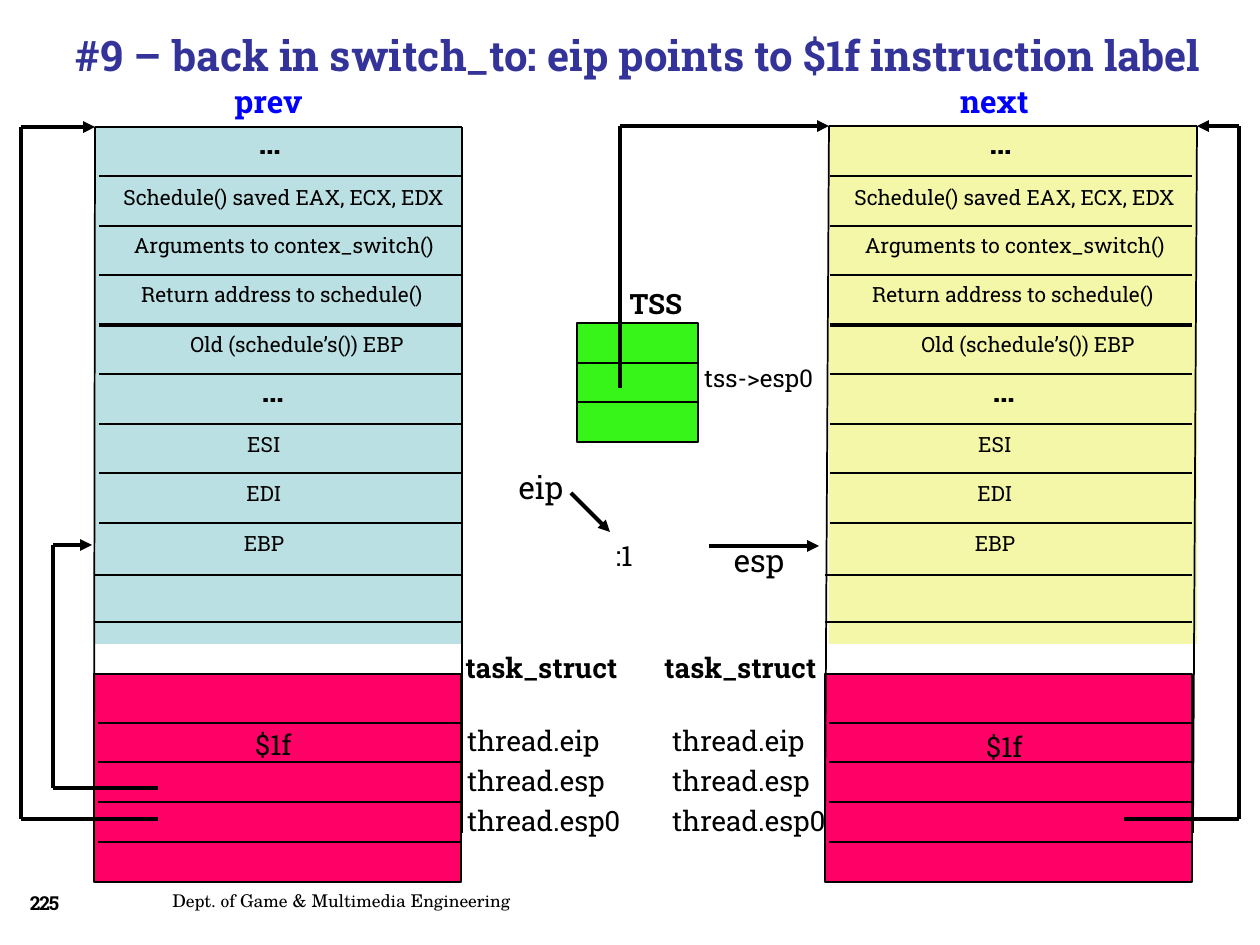
from dataclasses import dataclass

from lxml import etree
from pptx import Presentation
from pptx.dml.color import RGBColor
from pptx.enum import shapes, text
from pptx.oxml.ns import qn
from pptx.util import Emu, Pt

LEFT, CENTER, RIGHT = text.PP_ALIGN.LEFT, text.PP_ALIGN.CENTER, text.PP_ALIGN.RIGHT
EMU_PER_PX = 914400 / 126


@dataclass(frozen=True)
class Theme:
    font: str = "Roboto Slab"
    footer_font: str = "TeX Gyre Schola"
    ink: str = "000000"
    title: str = "333399"
    heading: str = "0000FF"
    prev: str = "BBE0E3"
    next: str = "F3F7A7"
    task: str = "FF0066"
    tss: str = "38F519"
    title_size: int = 24
    heading_size: int = 18
    label_size: int = 16
    note_size: int = 14
    row_size: int = 12
    number_size: int = 11
    footer_size: int = 10
    hairline: float = 0.75
    thin: float = 1
    thick: float = 2.25


THEME = Theme()


def px(value):
    return Emu(round(value * EMU_PER_PX))


def write(frame, words, size, color=THEME.ink, align=LEFT, font=THEME.font, bold=False):
    """Fill a text frame with one formatted paragraph."""
    frame.word_wrap = True
    para = frame.paragraphs[0]
    para.alignment = align
    span = para.add_run()
    span.text = words
    for name, value in {"name": font, "size": Pt(size), "bold": bold}.items():
        setattr(span.font, name, value)
    span.font.color.rgb = RGBColor.from_string(color)
    return span


def add_label(page, words, left, top, width, height, size, **style):
    box = page.shapes.add_textbox(px(left), px(top), px(width), px(height))
    write(box.text_frame, words, size, **style)
    return box


def add_block(page, left, top, width, height, fill, outlined=True):
    block = page.shapes.add_shape(shapes.MSO_SHAPE.RECTANGLE,
                                  px(left), px(top), px(width), px(height))
    block.shadow.inherit = False
    block.fill.solid()
    block.fill.fore_color.rgb = RGBColor.from_string(fill)
    if outlined:
        block.line.color.rgb = RGBColor.from_string(THEME.ink)
        block.line.width = Pt(THEME.hairline)
    else:
        block.line.fill.background()


def add_line(page, start, end, width=THEME.thin, arrow=False):
    line = page.shapes.add_connector(shapes.MSO_CONNECTOR.STRAIGHT,
                                     px(start[0]), px(start[1]), px(end[0]), px(end[1]))
    line.line.color.rgb = RGBColor.from_string(THEME.ink)
    line.line.width = Pt(width)
    if arrow:
        etree.SubElement(line.line._get_or_add_ln(), qn("a:tailEnd"), type="triangle")
    etree.SubElement(line._element.spPr, qn("a:effectLst"))


def add_route(page, *points):
    """Join the points with thick lines; the last one carries the arrowhead."""
    legs = list(zip(points, points[1:]))
    for number, (start, end) in enumerate(legs, 1):
        add_line(page, start, end, THEME.thick, arrow=number == len(legs))


def row_top(row):
    return 127 + row * 99 // 2


def add_stack(page, dx, heading, heading_left, panel, fill, value_top):
    """Draw one kernel stack with its task_struct, moved dx to the right."""
    add_label(page, heading, heading_left, 76, 159, 50, THEME.heading_size,
              color=THEME.heading, align=CENTER, bold=True)
    panel_left, panel_top, panel_width = panel
    add_block(page, panel_left, panel_top, panel_width, 644 - panel_top, fill, outlined=False)
    add_block(page, 94 + dx, 674, 367, 208, THEME.task)

    # Row rules: the frame boundary is thick
    for row in range(1, 9):
        add_line(page, (99 + dx, row_top(row)), (461 + dx, row_top(row)),
                 THEME.thick if row == 4 else THEME.thin)
    for y in (575, 622):
        add_line(page, (94 + dx, y), (461 + dx, y), THEME.hairline)
    for field in range(5):
        y = 723 + field * 159 // 4
        add_line(page, (98 + dx, y), (461 + dx, y))

    # Panel outline
    panel_right = panel_left + panel_width
    add_line(page, (panel_left, panel_top), (panel_right, panel_top))
    add_line(page, (panel_left, panel_top), (94 + dx, 833))
    add_line(page, (panel_right, panel_top), (462 + dx, 833))

    # Row contents
    add_label(page, "Schedule() saved EAX, ECX, EDX", 111 + dx, 178, 370, 38, THEME.row_size)
    rows = [(2, "Arguments to contex_switch()", 74), (3, "Return address to schedule()", 72),
            (4, "Old (schedule’s()) EBP", 87), (6, "ESI", 54), (7, "EDI", 54), (8, "EBP", 54)]
    for row, words, left in rows:
        add_label(page, words, left + dx, row_top(row) + row // 6, 420, 38,
                  THEME.row_size, align=CENTER)
    for left, top in ((190, 117), (193, 365)):
        add_label(page, "…", left + dx, top, 159, 50, THEME.heading_size,
                  align=CENTER, bold=True)
    add_label(page, "$1f", 209 + dx, value_top, 95, 47, THEME.label_size, align=RIGHT)


def add_fields(page, struct_left, field_left):
    add_label(page, "task_struct", struct_left, 644, 190, 47, THEME.label_size,
              align=RIGHT, bold=True)
    for index, words in enumerate(("thread.eip", "thread.esp", "thread.esp0")):
        add_label(page, words, field_left, 717 + 40 * index, 184, 47, THEME.label_size)


def add_tss(page):
    add_block(page, 577, 323, 121, 119, THEME.tss)
    for y in (363, 402):
        add_line(page, (577, y), (698, y))
    add_label(page, "TSS", 588, 280, 136, 47, THEME.label_size, align=CENTER, bold=True)
    add_label(page, "tss->esp0", 692, 357, 147, 42, THEME.note_size)
    add_route(page, (620, 388), (620, 126), (829, 126))


def add_registers(page):
    add_label(page, "eip", 491, 462, 100, 50, THEME.heading_size, align=CENTER)
    add_label(page, ":1", 550, 532, 95, 47, THEME.label_size, align=RIGHT)
    add_route(page, (571, 493), (610, 532))
    add_label(page, "esp", 709, 535, 100, 50, THEME.heading_size, align=CENTER)
    add_route(page, (709, 546), (819, 546))


def add_title(page, words):
    title = page.shapes.title
    place = {"left": 63, "top": 23, "width": 1160, "height": 63}
    for name, value in place.items():
        setattr(title, name, px(value))
    frame = title.text_frame
    frame.auto_size = text.MSO_AUTO_SIZE.NONE
    frame.vertical_anchor = text.MSO_ANCHOR.TOP
    write(frame, words, THEME.title_size, color=THEME.title, bold=True)


def add_footer(page):
    credit = add_label(page, "Dept. of Game & Multimedia Engineering", 160, 876, 578, 50,
                       THEME.footer_size, font=THEME.footer_font)
    number = add_label(page, "225", 11, 878, 67, 50, THEME.number_size,
                       align=CENTER, bold=True)
    for box in (credit, number):
        box.text_frame.vertical_anchor = text.MSO_ANCHOR.MIDDLE
    span = number.text_frame.paragraphs[0].runs[0]
    span.font._element.set("spc", "-70")


def main():
    deck = Presentation()
    deck.slide_width, deck.slide_height = px(1260), px(945)
    page = deck.slides.add_slide(deck.slide_layouts[5])
    add_title(page, "#9 – back in switch_to: eip points to $1f instruction label")

    # The two stacks and their thread fields
    add_stack(page, 0, "prev", 189, (95, 127, 367), THEME.prev, 721)
    add_stack(page, 731, "next", 915, (829, 126, 368), THEME.next, 723)
    add_fields(page, 440, 455)
    add_fields(page, 639, 660)

    # Registers, TSS and saved stack pointers
    add_registers(page)
    add_tss(page)
    add_route(page, (158, 819), (21, 819), (21, 127), (95, 127))
    add_route(page, (158, 788), (53, 788), (53, 545), (92, 545))
    add_route(page, (1124, 819), (1239, 819), (1239, 126), (1197, 126))

    add_footer(page)
    deck.save("out.pptx")


if __name__ == "__main__":
    main()
